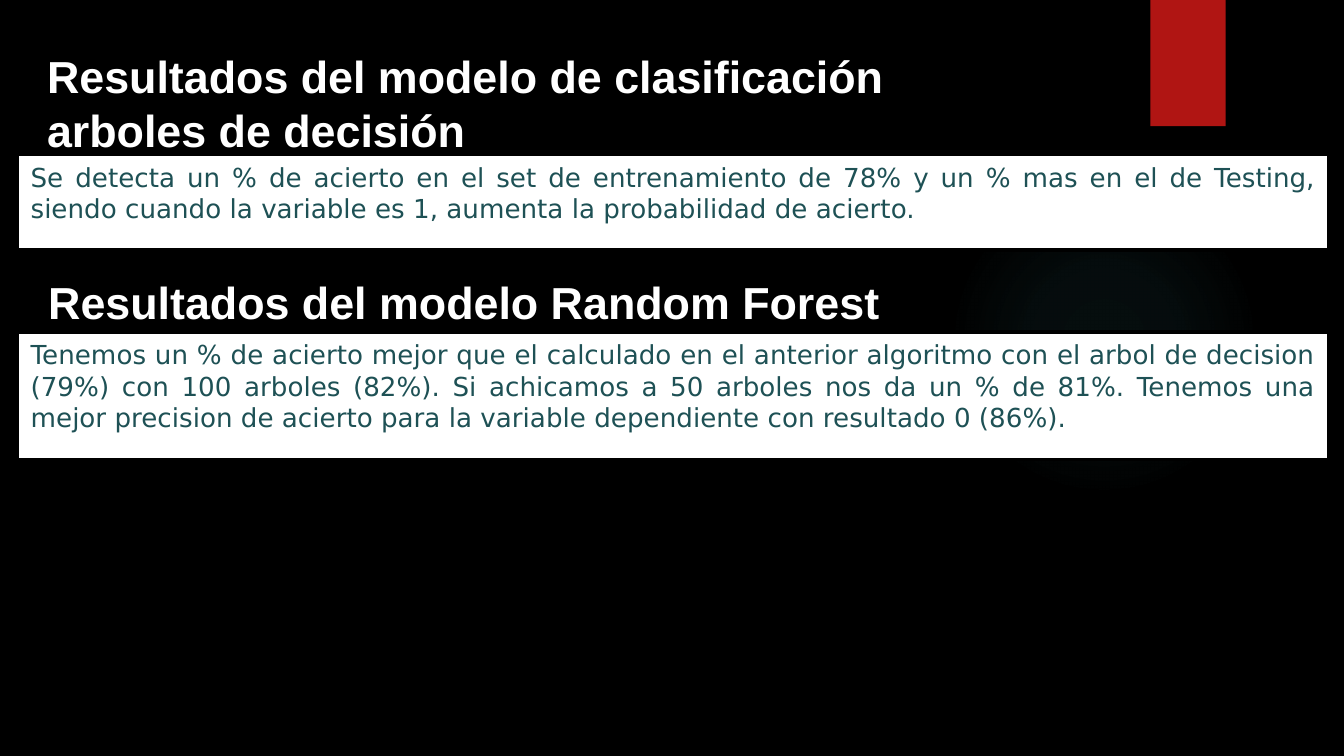
from lxml import etree
from pptx import Presentation
from pptx.dml.color import RGBColor
from pptx.enum.shapes import MSO_SHAPE as SHAPE
from pptx.enum.text import MSO_ANCHOR as ANCHOR, MSO_AUTO_SIZE as AUTO, PP_ALIGN as ALIGN
from pptx.oxml.ns import qn
from pptx.util import Inches, Pt

COLORS = {"black": "000000", "white": "FFFFFF", "red": "B01513", "teal": "1E5155", "glow": "50B9C1"}
TITLE = ("Resultados del modelo de clasificación arboles de decisión", (0.25, 0.43, 7.48, 0.67))
SUBTITLE = ("Resultados del modelo Random Forest", (0.26, 1.91, 8.92, 0.67))
PANELS = [
    ("Se detecta un % de acierto en el set de entrenamiento de 78% y un % mas en el de Testing, "
     "siendo cuando la variable es 1, aumenta la probabilidad de acierto.", (0.13, 1.15, 9.76, 0.71)),
    ("Tenemos un % de acierto mejor que el calculado en el anterior algoritmo con el arbol de decision "
     "(79%) con 100 arboles (82%). Si achicamos a 50 arboles nos da un % de 81%. Tenemos una mejor "
     "precision de acierto para la variable dependiente con resultado 0 (86%).", (0.13, 2.47, 9.76, 0.95)),
]
GLOW_BOX = (7.06, 1.38, 2.31, 2.31)
GLOW_STOPS = [(0, 7), (36, 6), (69, 0)]
TAB_BOX = (8.56, 0, 0.56, 0.94)


def rgb(name):
    return RGBColor.from_string(COLORS[name])


def inches(box):
    return [Inches(v) for v in box]


def write(sp, text, font, size, color, bold=False, align=ALIGN.LEFT, anchor=ANCHOR.MIDDLE):
    tf = sp.text_frame
    tf.word_wrap = True
    tf.auto_size = AUTO.NONE
    tf.vertical_anchor = anchor
    p = tf.paragraphs[0]
    p.text = text
    p.alignment = align
    p.font.name, p.font.size, p.font.bold = font, Pt(size), bold
    p.font.color.rgb = rgb(color)
    return p


def write_heading(sp, text):
    p = write(sp, text, "Arial", 24, "white", bold=True)
    p.space_before = Pt(0)
    p.line_spacing = 1.0


def add_block(s, shape, box, color=None):
    sp = s.shapes.add_shape(shape, *inches(box))
    sp.shadow.inherit = False
    sp.line.fill.background()
    if color:
        sp.fill.solid()
        sp.fill.fore_color.rgb = rgb(color)
    return sp


def add_glow(s):
    sp = add_block(s, SHAPE.OVAL, GLOW_BOX)
    grad = etree.Element(qn("a:gradFill"), rotWithShape="1")
    stops = etree.SubElement(grad, qn("a:gsLst"))
    for pos, alpha in GLOW_STOPS:
        stop = etree.SubElement(stops, qn("a:gs"), pos=str(pos * 1000))
        clr = etree.SubElement(stop, qn("a:srgbClr"), val=COLORS["glow"])
        etree.SubElement(clr, qn("a:alpha"), val=str(alpha * 1000))
    shade = etree.SubElement(grad, qn("a:path"), {"path": "circle"})
    etree.SubElement(shade, qn("a:fillToRect"), {side: "50000" for side in "ltrb"})
    sp._element.spPr.find(qn("a:prstGeom")).addnext(grad)


def main():
    prs = Presentation()
    prs.slide_width = Inches(10)
    prs.slide_height = prs.slide_width * 9 // 16
    s = prs.slides.add_slide(prs.slide_layouts[5])
    s.background.fill.solid()
    s.background.fill.fore_color.rgb = rgb("black")

    add_glow(s)
    add_block(s, SHAPE.RECTANGLE, TAB_BOX, "red")

    text, box = TITLE
    title = s.shapes.title
    title.left, title.top, title.width, title.height = inches(box)
    write_heading(title, text)

    for text, box in PANELS:
        sp = add_block(s, SHAPE.RECTANGLE, box, "white")
        sp.line.color.rgb = rgb("black")
        sp.line.width = Pt(2)
        p = write(sp, text, "DejaVu Sans", 14, "teal", align=ALIGN.JUSTIFY, anchor=ANCHOR.TOP)
        p.space_before = Pt(10)

    text, box = SUBTITLE
    write_heading(s.shapes.add_textbox(*inches(box)), text)
    prs.save("out.pptx")


if __name__ == "__main__":
    main()
